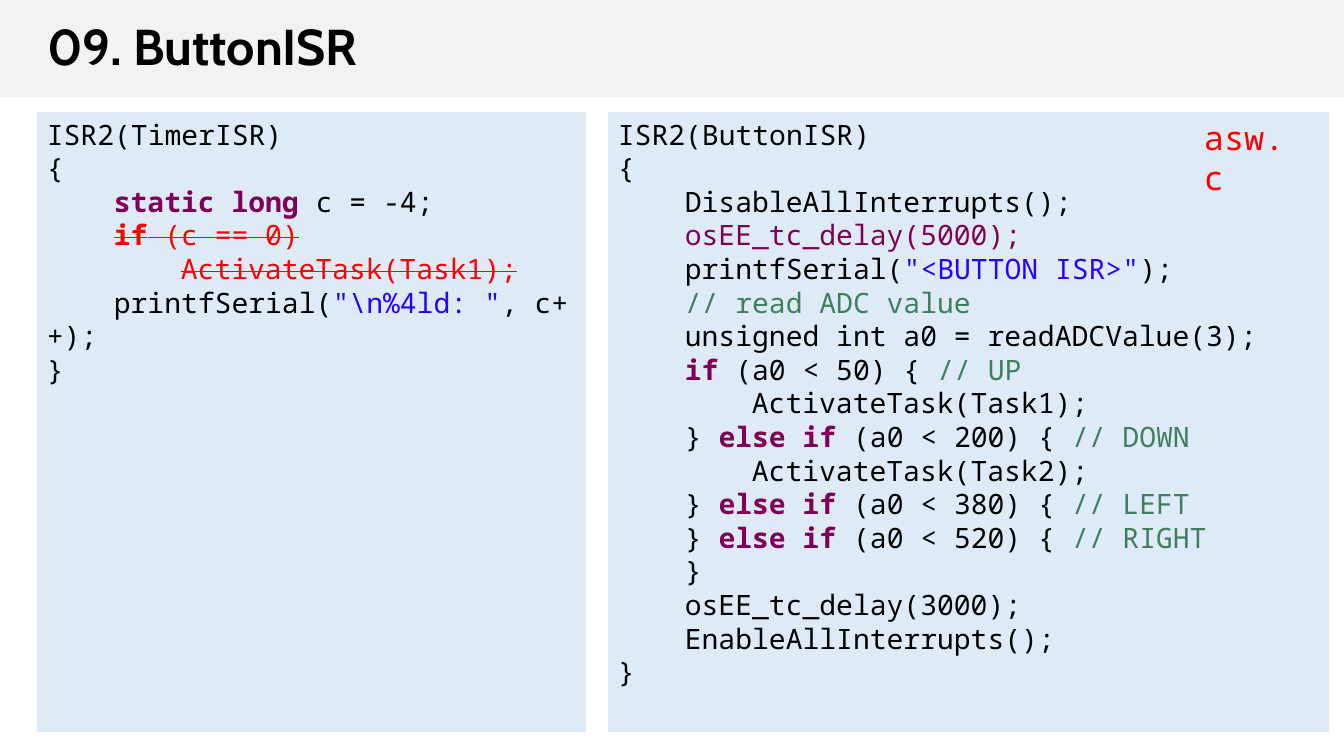
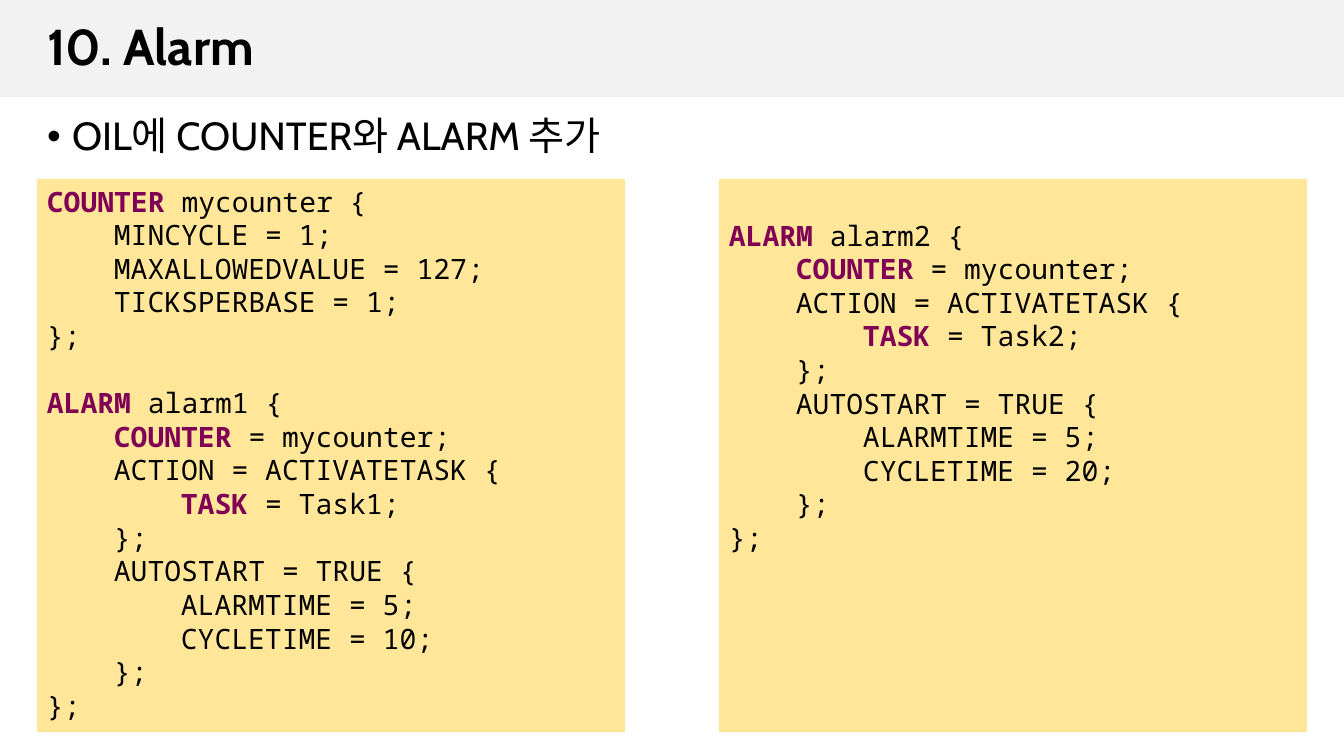
from dataclasses import dataclass

from pptx import Presentation
from pptx.dml.color import RGBColor
from pptx.enum.shapes import MSO_SHAPE
from pptx.enum.text import MSO_ANCHOR, MSO_AUTO_SIZE, PP_ALIGN
from pptx.util import Emu, Pt

PX = 12192000 / 1344  # EMU in one px


@dataclass(frozen=True)
class Theme:
    heading_font: str = "Cabin"
    code_font: str = "Noto Sans Mono"
    title_size: int = 36
    body_size: int = 28
    label_size: int = 24
    code_size: int = 20
    code_line: int = 24
    text: str = "000000"
    keyword: str = "7F0055"
    string: str = "2A00FF"
    remark: str = "3F7F5F"
    alert: str = "FF0000"
    band: str = "F2F2F2"
    c_panel: str = "DEEBF7"
    oil_panel: str = "FFE699"


theme = Theme()

# Code styles: colour, bold, struck out
STYLES = {
    "plain": (theme.text, False, False),
    "keyword": (theme.keyword, True, False),
    "call": (theme.keyword, False, False),
    "string": (theme.string, False, False),
    "remark": (theme.remark, False, False),
    "cut": (theme.alert, False, True),
    "cut keyword": (theme.alert, True, True),
    "label": (theme.alert, False, False),
}


def add_run(paragraph, text, size, font=theme.code_font, style="plain"):
    color, bold, struck = STYLES[style]
    run = paragraph.add_run()
    run.text = text
    run.font.name = font
    run.font.size = Pt(size)
    run.font.bold = bold
    run.font.color.rgb = RGBColor.from_string(color)
    if struck:
        run._r.get_or_add_rPr().set("strike", "sngStrike")
    return run


def alarm_block(name, task, cycle):
    return [
        (0, ("keyword", "ALARM"), ("plain", f" {name} {{")),
        (1, ("keyword", "COUNTER"), ("plain", " = mycounter;")),
        (1, ("plain", "ACTION = ACTIVATETASK {")),
        (2, ("keyword", "TASK"), ("plain", f" = {task};")),
        (1, ("plain", "};")),
        (1, ("plain", "AUTOSTART = TRUE {")),
        (2, ("plain", "ALARMTIME = 5;")),
        (2, ("plain", f"CYCLETIME = {cycle};")),
        (1, ("plain", "};")),
        (0, ("plain", "};")),
    ]


# Code lines: indent level, then (style, text) runs
timer_block = [
    (0, ("plain", "ISR2(TimerISR)")),
    (0, ("plain", "{")),
    (1, ("keyword", "static long"), ("plain", " c = -4;")),
    (1, ("cut keyword", "if"), ("cut", " (c == 0)")),
    (2, ("cut", "ActivateTask(Task1);")),
    (1, ("plain", "printfSerial("), ("string", r'"\n%4ld: "'), ("plain", ", c++);")),
    (0, ("plain", "}")),
]
button_block = [
    (0, ("plain", "ISR2(ButtonISR)")),
    (0, ("plain", "{")),
    (1, ("plain", "DisableAllInterrupts();")),
    (1, ("call", "osEE_tc_delay(5000);")),
    (1, ("plain", "printfSerial("), ("string", '"<BUTTON ISR>"'), ("plain", ");")),
    (1, ("remark", "// read ADC value")),
    (1, ("plain", "unsigned int a0 = readADCValue(3);")),
    (1, ("keyword", "if"), ("plain", " (a0 < 50) { "), ("remark", "// UP")),
    (2, ("plain", "ActivateTask(Task1);")),
    (1, ("plain", "} "), ("keyword", "else if"), ("plain", " (a0 < 200) { "), ("remark", "// DOWN")),
    (2, ("plain", "ActivateTask(Task2);")),
    (1, ("plain", "} "), ("keyword", "else if"), ("plain", " (a0 < 380) { "), ("remark", "// LEFT")),
    (1, ("plain", "} "), ("keyword", "else if"), ("plain", " (a0 < 520) { "), ("remark", "// RIGHT")),
    (1, ("plain", "}")),
    (1, ("plain", "osEE_tc_delay(3000);")),
    (1, ("plain", "EnableAllInterrupts();")),
    (0, ("plain", "}")),
]
counter_block = [
    (0, ("keyword", "COUNTER "), ("plain", "mycounter {")),
    (1, ("plain", "MINCYCLE = 1;")),
    (1, ("plain", "MAXALLOWEDVALUE = 127;")),
    (1, ("plain", "TICKSPERBASE = 1;")),
    (0, ("plain", "};")),
]

# Slides: title, bullet, file label, panel fill, panels
# Panels: box in px, top inset in px, blocks set one blank line apart
slides = [
    ("09. ButtonISR", None, "asw.c", theme.c_panel, [
        ((37, 112, 549, 620), 5, [timer_block]),
        ((608, 112, 721, 620), 5, [button_block]),
    ]),
    ("10. Alarm", "OIL에 COUNTER와 ALARM 추가", None, theme.oil_panel, [
        ((37, 179, 588, 553), 5, [counter_block, alarm_block("alarm1", "Task1", 10)]),
        ((719, 179, 588, 553), 39, [alarm_block("alarm2", "Task2", 20)]),
    ]),
]

presentation = Presentation()
presentation.slide_width = Emu(round(1344 * PX))
presentation.slide_height = Emu(round(756 * PX))

# Master: title and body places
master = presentation.slide_master
for placeholder, box in zip(master.placeholders, [(37, 7, 1270, 84), (37, 112, 1270, 620)]):
    placeholder.left, placeholder.top, placeholder.width, placeholder.height = [
        Emu(round(length * PX)) for length in box]

for number, (title, bullet, label, panel_fill, panels) in enumerate(slides):
    layout = presentation.slide_layouts.get_by_name("Title and Content" if bullet else "Title Only")
    slide = presentation.slides.add_slide(layout)

    # Title band, moved behind everything on the master
    if number == 0:
        band = slide.shapes.add_shape(MSO_SHAPE.RECTANGLE, 0, 0, presentation.slide_width, Emu(round(97 * PX)))
        band.shadow.inherit = False
        band.fill.solid()
        band.fill.fore_color.rgb = RGBColor.from_string(theme.band)
        band.line.fill.background()
        master.shapes.element.insert(2, band.element)

    # Title
    frame = slide.shapes.title.text_frame
    frame.auto_size = MSO_AUTO_SIZE.NONE
    frame.vertical_anchor = MSO_ANCHOR.MIDDLE
    paragraph = frame.paragraphs[0]
    paragraph.alignment = PP_ALIGN.LEFT
    paragraph.line_spacing = 0.9
    add_run(paragraph, title, theme.title_size, theme.heading_font).font.bold = True

    # Bullet
    if bullet:
        frame = slide.placeholders[1].text_frame
        frame.auto_size = MSO_AUTO_SIZE.NONE
        paragraph = frame.paragraphs[0]
        paragraph.line_spacing = 0.9
        paragraph.space_before = Pt(10)
        properties = paragraph._p.get_or_add_pPr()
        properties.set("marL", str(round(25 * PX)))
        properties.set("indent", str(round(-25 * PX)))
        add_run(paragraph, bullet, theme.body_size, theme.heading_font)

    # Code panels
    for box, top_inset, blocks in panels:
        panel = slide.shapes.add_shape(MSO_SHAPE.RECTANGLE, *[Emu(round(length * PX)) for length in box])
        panel.shadow.inherit = False
        panel.fill.solid()
        panel.fill.fore_color.rgb = RGBColor.from_string(panel_fill)
        panel.line.fill.background()
        frame = panel.text_frame
        frame.word_wrap = True
        frame.vertical_anchor = MSO_ANCHOR.TOP
        frame.margin_top = Emu(round(top_inset * PX))
        lines = [(block, line) for block in blocks for line in block]
        for index, (block, (level, *runs)) in enumerate(lines):
            paragraph = frame.add_paragraph() if index else frame.paragraphs[0]
            paragraph.alignment = PP_ALIGN.LEFT
            if index and block is not lines[index - 1][0]:
                paragraph.space_before = Pt(theme.code_line)
            # Only the first line is indented: wrapped code returns to the edge
            paragraph._p.get_or_add_pPr().set("indent", str(round(level * 67 * PX)))
            for style, text in runs:
                add_run(paragraph, text, theme.code_size, style=style)

    # File label
    if label:
        file_label = slide.shapes.add_textbox(*[Emu(round(length * PX)) for length in (1194, 112, 114, 50)])
        file_label.text_frame.word_wrap = True
        add_run(file_label.text_frame.paragraphs[0], label, theme.label_size, style="label")

presentation.save("out.pptx")
